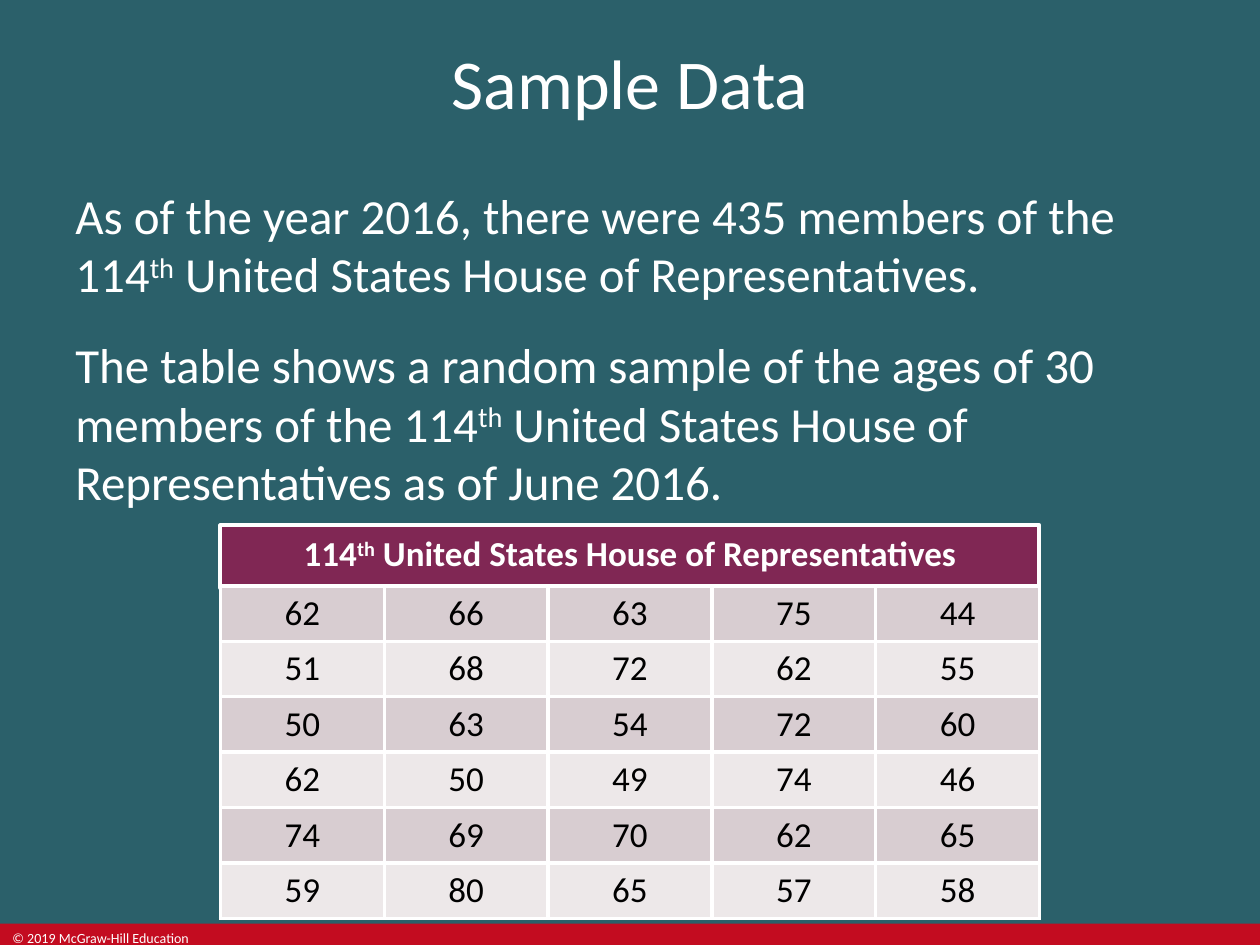
from lxml import etree
from pptx import Presentation
from pptx import util as u
from pptx.dml.color import RGBColor
from pptx.enum import shapes, text
from pptx.oxml.ns import qn

PX = 9144
COLORS = {"bg": "2B606A", "bar": "C30C20", "banner": "802754", "white": "FFFFFF",
          "black": "000000", "odd": "D8CDD1", "even": "EDE8E9"}
AGES = [[62, 66, 63, 75, 44],
        [51, 68, 72, 62, 55],
        [50, 63, 54, 72, 60],
        [62, 50, 49, 74, 46],
        [74, 69, 70, 62, 65],
        [59, 80, 65, 57, 58]]
BODY = ["As of the year 2016, there were 435 members of the 114^th^ United States "
        "House of Representatives.",
        "The table shows a random sample of the ages of 30 members of the 114^th^ "
        "United States House of Representatives as of June 2016."]


def px(*values):
    return [u.Emu(v * PX) for v in values]


def rgb(name):
    return RGBColor.from_string(COLORS[name])


def fill(target, color):
    target.fill.solid()
    target.fill.fore_color.rgb = rgb(color)


def write(tf, content, size, color="white", bold=False, align=text.PP_ALIGN.LEFT,
          anchor=text.MSO_ANCHOR.TOP, before=0, after=0):
    tf.word_wrap = True
    tf.vertical_anchor = anchor
    for i, line in enumerate(content.split("\n")):
        p = tf.add_paragraph() if i else tf.paragraphs[0]
        p.alignment = align
        p.space_before = u.Pt(before if i else 0)
        p.space_after = u.Pt(after)
        for j, part in enumerate(line.split("^")):
            r = p.add_run()
            r.text = part
            r.font.name, r.font.size, r.font.bold = "Calibri", u.Pt(size), bold
            r.font.color.rgb = rgb(color)
            if j % 2:
                r.font._element.set("baseline", "30000")


def add_rect(s, box, color, line=None):
    sp = s.shapes.add_shape(shapes.MSO_SHAPE.RECTANGLE, *px(*box))
    sp.shadow.inherit = False
    fill(sp, color)
    if line:
        sp.line.color.rgb = rgb(line)
        sp.line.width = u.Pt(2.25)
    else:
        sp.line.fill.background()
    return sp


def add_footer(s, x, y, w, h):
    add_rect(s, (x, y, w, h), "bar")
    tb = s.shapes.add_textbox(*px(x, y, 170, h))
    write(tb.text_frame, "© 2019 McGraw-Hill Education", 8)


def add_title(s, x, y, w, h):
    sp = s.shapes.title
    sp.left, sp.top, sp.width, sp.height = px(x, y, w, h)
    write(sp.text_frame, "Sample Data", 40, align=text.PP_ALIGN.CENTER,
          anchor=text.MSO_ANCHOR.MIDDLE)


def add_body(s, x, y, w, h):
    tb = s.shapes.add_textbox(*px(x, y, w, h))
    write(tb.text_frame, "\n".join(BODY), 28, before=12, after=6)


def border(cell):
    tcPr = cell._tc.get_or_add_tcPr()
    for i, side in enumerate(("lnL", "lnR", "lnT", "lnB")):
        ln = etree.Element(qn(f"a:{side}"), w=str(u.Pt(2.25)))
        solid = etree.SubElement(ln, qn("a:solidFill"))
        etree.SubElement(solid, qn("a:srgbClr"), val=COLORS["white"])
        tcPr.insert(i, ln)


def add_ages(s, x, y, w, h):
    header = 48
    sp = add_rect(s, (x, y, w, 50), "banner", line="white")
    write(sp.text_frame, "114^th^ United States House of Representatives", 20,
          bold=True, align=text.PP_ALIGN.CENTER, after=6)
    rows, cols = len(AGES), len(AGES[0])
    table = s.shapes.add_table(rows, cols, *px(x, y + header, w, h - header)).table
    for i, ages in enumerate(AGES):
        for j, age in enumerate(ages):
            cell = table.cell(i, j)
            fill(cell, "even" if i % 2 else "odd")
            border(cell)
            write(cell.text_frame, str(age), 20, color="black",
                  align=text.PP_ALIGN.CENTER)


def main():
    prs = Presentation()
    prs.slide_width, prs.slide_height = px(1000, 750)
    s = prs.slides.add_slide(prs.slide_layouts[5])
    fill(s.background, "bg")
    add_footer(s, 0, 733, 1000, 17)
    add_title(s, 0, 0, 1000, 130)
    add_body(s, 50, 142, 900, 258)
    add_ages(s, 175, 417, 650, 312)
    prs.save("out.pptx")


if __name__ == "__main__":
    main()
